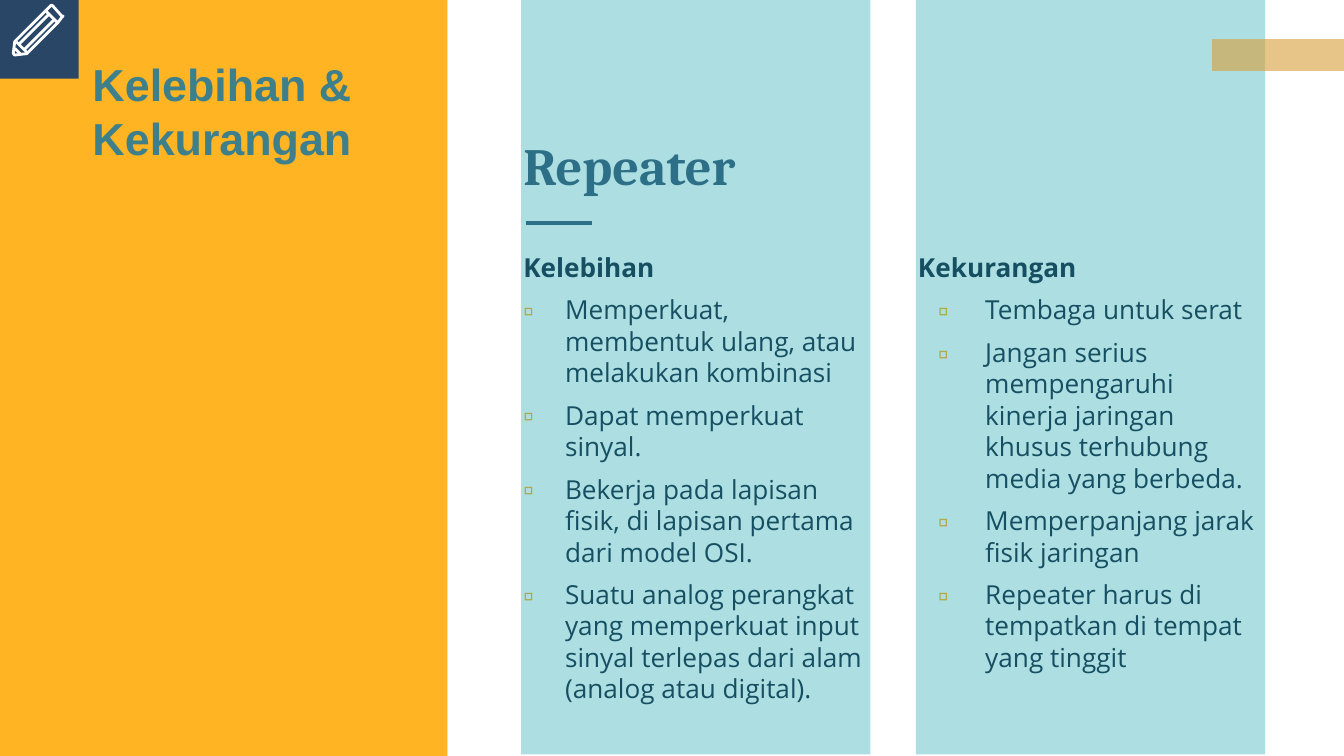
import pptx
import pptx.dml.color
import pptx.enum.shapes
import pptx.enum.text
import pptx.oxml
import pptx.oxml.ns
import pptx.util
from dataclasses import dataclass

Cm, Pt = pptx.util.Cm, pptx.util.Pt
RGB = pptx.dml.color.RGBColor.from_string


@dataclass(frozen=True)
class Theme:
    amber: str = "FFA800"
    navy: str = "294667"
    ink: str = "021028"
    teal: str = "3D808C"
    aqua: str = "32AEB8"
    ochre: str = "D89F39"
    white: str = "FFFFFF"
    heading_font: str = "Cambria"
    body_font: str = "Open Sans"
    topic_font: str = "Arial"
    heading_size: int = 28
    topic_size: int = 24
    body_size: int = 14


theme = Theme()

deck = pptx.Presentation()
deck.slide_width, deck.slide_height = Cm(25.4), Cm(14.29)
slide = deck.slides.add_slide(deck.slide_layouts[6])


def add_block(left, top, width, height, color, opacity=100):
    block = slide.shapes.add_shape(
        pptx.enum.shapes.MSO_SHAPE.RECTANGLE, Cm(left), Cm(top), Cm(width), Cm(height))
    block.shadow.inherit = False
    block.line.fill.background()
    block.fill.solid()
    block.fill.fore_color.rgb = RGB(color)
    if opacity < 100:
        srgb = block.fill._xPr.find(".//" + pptx.oxml.ns.qn("a:srgbClr"))
        srgb.append(pptx.oxml.parse_xml(
            f'<a:alpha {pptx.oxml.ns.nsdecls("a")} val="{opacity * 1000}"/>'))


def add_text(left, top, width, height, lines, font, size, color):
    box = slide.shapes.add_textbox(Cm(left), Cm(top), Cm(width), Cm(height))
    frame = box.text_frame
    frame.word_wrap = True
    frame.text = "\n".join(lines)
    for paragraph in frame.paragraphs:
        style = paragraph.runs[0].font
        style.name, style.size, style.bold = font, Pt(size), True
        style.color.rgb = RGB(color)
    return frame


# Background: amber sidebar, white page, navy badge
add_block(0, 0, 8.46, 14.29, theme.amber, 86)
add_block(8.46, 0, 16.94, 14.29, theme.white)
add_block(0, 0, 1.49, 1.49, theme.navy)

# Rule under the heading
rule = slide.shapes.add_connector(
    pptx.enum.shapes.MSO_CONNECTOR.STRAIGHT, Cm(9.94), Cm(4.22), Cm(11.19), Cm(4.22))
rule.line.color.rgb = RGB(theme.navy)
rule.line.width = Pt(2.25)
rule._element.spPr.append(
    pptx.oxml.parse_xml(f'<a:effectLst {pptx.oxml.ns.nsdecls("a")}/>'))

# Heading
heading = add_text(9.64, 2.1, 14.5, 1.85, ["Repeater"],
                   theme.heading_font, theme.heading_size, theme.navy)
heading.vertical_anchor = pptx.enum.text.MSO_ANCHOR.BOTTOM
heading.margin_top = heading.margin_bottom = Cm(0.25)

# Strengths and weaknesses: lines, text indent, bullet hang
columns = [
    (["Kelebihan",
      "Memperkuat, membentuk ulang, atau melakukan kombinasi",
      "Dapat memperkuat sinyal.",
      "Bekerja pada lapisan fisik, di lapisan pertama dari model OSI.",
      "Suatu analog perangkat yang memperkuat input sinyal terlepas dari alam "
      "(analog atau digital)."], 0.79, 0.79),
    (["Kekurangan",
      "Tembaga untuk serat",
      "Jangan serius mempengaruhi kinerja jaringan khusus terhubung media yang berbeda.",
      "Memperpanjang jarak fisik jaringan",
      "Repeater harus di tempatkan di tempat yang tinggit"], 1.27, 0.89),
]
column_step = 7.46
for number, (lines, indent, hang) in enumerate(columns):
    points = add_text(9.64 + number * column_step, 4.5, 6.98, 8.76, lines,
                      theme.body_font, theme.body_size, theme.ink)
    points.margin_top = points.margin_bottom = Cm(0.25)
    for paragraph in points.paragraphs:
        paragraph.space_before = Pt(6)
    for paragraph in points.paragraphs[1:]:
        paragraph.runs[0].font.bold = False
        properties = paragraph._p.get_or_add_pPr()
        properties.set("marL", str(Cm(indent)))
        properties.set("indent", str(-Cm(hang)))
        ns = pptx.oxml.ns.nsdecls("a")
        properties.append(pptx.oxml.parse_xml(
            f'<a:buClr {ns}><a:srgbClr val="{theme.amber}"/></a:buClr>'))
        properties.append(pptx.oxml.parse_xml(
            f'<a:buFont {ns} typeface="{theme.body_font}"/>'))
        properties.append(pptx.oxml.parse_xml(f'<a:buChar {ns} char="▫"/>'))

# Sidebar topic
topic = add_text(1.3, 0.95, 5.79, 2.31, ["Kelebihan & Kekurangan"],
                 theme.topic_font, theme.topic_size, theme.teal)
topic.auto_size = pptx.enum.text.MSO_AUTO_SIZE.SHAPE_TO_FIT_TEXT
topic.paragraphs[0].alignment = pptx.enum.text.PP_ALIGN.CENTER

# Translucent panels over the columns, and the corner tab
for number in reversed(range(len(columns))):
    add_block(9.85 + number * column_step, -0.03, 6.6, 14.29, theme.aqua, 40)
add_block(22.91, 0.74, 2.49, 0.6, theme.ochre, 60)

# Pencil icon: strokes in units of 0.0254 cm, True when closed
pencil_strokes = [
    ([(46, 12), (39, 4), (38, 4), (34, 8), (43, 17), (46, 13), (47, 12)], True),
    ([(40, 15), (18, 37)], False),
    ([(34, 8), (12, 30), (11, 31), (10, 39), (10, 40), (11, 41),
      (20, 40), (21, 39), (43, 17)], False),
    ([(14, 33), (36, 11)], False),
    ([(15, 40), (11, 36)], False),
    ([(12, 31), (20, 39)], False),
]
pencil = slide.shapes.add_group_shape()
for vertices, closed in pencil_strokes:
    outline = pencil.shapes.build_freeform(*vertices[0], scale=Cm(0.0254))
    outline.add_line_segments(vertices[1:], close=closed)
    stroke = outline.convert_to_shape()
    stroke.shadow.inherit = False
    stroke.fill.background()
    stroke.line.color.rgb = RGB(theme.white)
    stroke.line.width = Pt(1.5)

deck.save("out.pptx")
